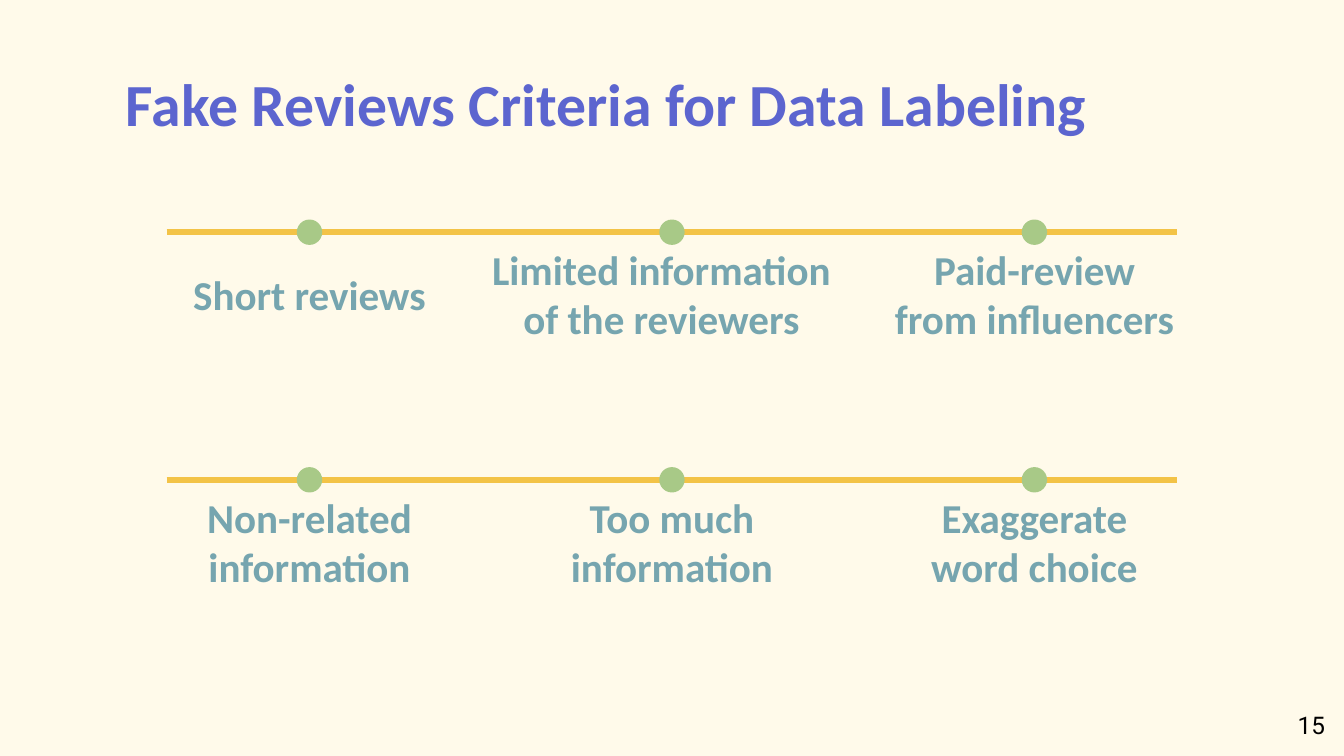
from pptx import Presentation
from pptx.dml.color import RGBColor
from pptx.enum.shapes import MSO_CONNECTOR, MSO_SHAPE
from pptx.enum.text import MSO_ANCHOR, MSO_AUTO_SIZE, PP_ALIGN
from pptx.oxml.ns import qn
from pptx.util import Cm, Pt
from lxml import etree

LEFT, CENTER, RIGHT = PP_ALIGN.LEFT, PP_ALIGN.CENTER, PP_ALIGN.RIGHT
TOP, MIDDLE = MSO_ANCHOR.TOP, MSO_ANCHOR.MIDDLE
STRAIGHT, OVAL = MSO_CONNECTOR.STRAIGHT, MSO_SHAPE.OVAL


def rgb(value):
    return RGBColor.from_string(value)


def write(sp, text, size, color, font="Calibri", bold=True, align=LEFT, anchor=TOP):
    tf = sp.text_frame
    tf.word_wrap = True
    tf.auto_size = MSO_AUTO_SIZE.NONE
    tf.vertical_anchor = anchor
    tf.margin_left = tf.margin_right = tf.margin_top = tf.margin_bottom = Cm(0.25)
    p = tf.paragraphs[0]
    p.alignment = align
    p.line_spacing = 1.0
    p.space_before = Pt(0)
    r = p.add_run()
    r.text = text
    r.font.name = font
    r.font.size = Pt(size)
    r.font.bold = bold
    r.font.color.rgb = rgb(color)


prs = Presentation()
prs.slide_width = Cm(25.4)
prs.slide_height = Cm(14.29)
s = prs.slides.add_slide(prs.slide_layouts[5])
s.background.fill.solid()
s.background.fill.fore_color.rgb = rgb("FFFAEA")

title = s.shapes.title
title.left, title.top, title.width, title.height = Cm(2.13), Cm(1.02), Cm(22), Cm(2.16)
write(title, "Fake Reviews Criteria for Data Labeling", 32, "5C65CF")

rows = [
    (4.39, [("Short reviews", 5.85, 5.18),
            ("Limited information of the reviewers", 12.5, 6.96),
            ("Paid-review from influencers", 19.55, 6.02)]),
    (9.07, [("Non-related information", 5.85, 5.18),
            ("Too much information", 12.7, 5.18),
            ("Exaggerate word choice", 19.55, 5.18)]),
]
dot = 0.48

for y, labels in rows:
    line = s.shapes.add_connector(STRAIGHT, Cm(3.15), Cm(y), Cm(22.25), Cm(y))
    line.line.color.rgb = rgb("F3C347")
    line.line.width = Pt(3)
    etree.SubElement(line._element.spPr, qn("a:effectLst"))

    for i, (text, center, width) in enumerate(labels):
        x = 5.85 + i * 6.85
        sp = s.shapes.add_shape(OVAL, Cm(x - dot / 2), Cm(y - dot / 2), Cm(dot), Cm(dot))
        sp.shadow.inherit = False
        sp.fill.solid()
        sp.fill.fore_color.rgb = rgb("A8C987")
        sp.line.fill.background()

        sp = s.shapes.add_textbox(Cm(center - width / 2), Cm(y + 0.24), Cm(width), Cm(1.85))
        write(sp, text, 22, "76A5AF", align=CENTER, anchor=MIDDLE)

number = s.shapes.add_textbox(Cm(23.77), Cm(13.18), Cm(1.52), Cm(1.09))
write(number, "15", 13, "000000", font="Roboto", bold=False, align=RIGHT)

prs.save("out.pptx")
